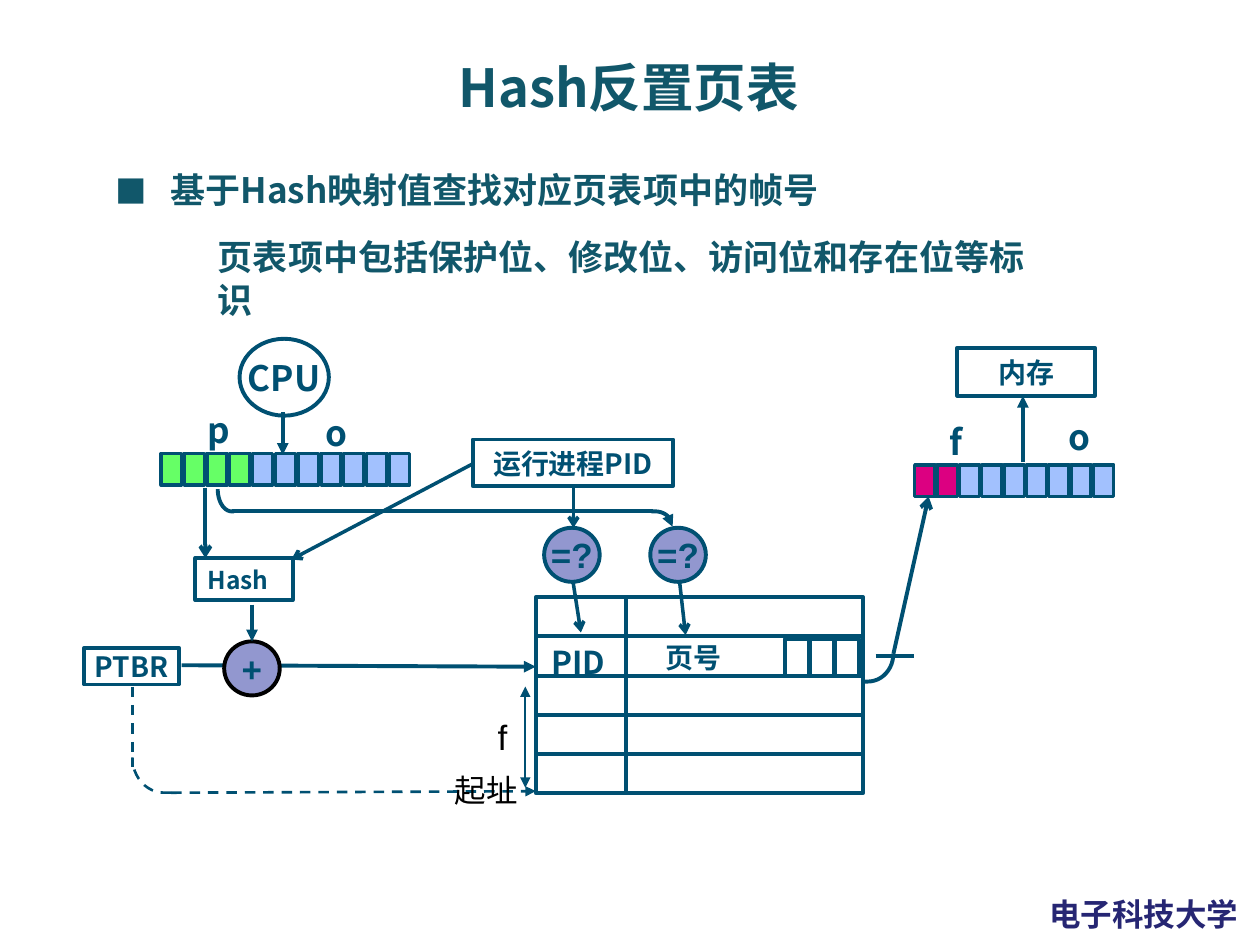
from math import cos, radians, sin

from lxml import etree
from pptx import Presentation
from pptx.dml.color import RGBColor
from pptx.enum.dml import MSO_LINE_DASH_STYLE as DASH
from pptx.enum.shapes import MSO_CONNECTOR, MSO_SHAPE
from pptx.enum.text import MSO_ANCHOR, MSO_AUTO_SIZE, PP_ALIGN
from pptx.oxml.ns import qn
from pptx.util import Cm, Pt

NAVY = RGBColor(0x00, 0x50, 0x72)
TEAL = RGBColor(0x11, 0x57, 0x6A)
INDIGO = RGBColor(0x26, 0x26, 0x73)
BLACK = RGBColor(0x00, 0x00, 0x00)
GREEN = RGBColor(0x66, 0xFF, 0x66)
BLUE = RGBColor(0xA2, 0xC1, 0xFE)
PINK = RGBColor(0xDC, 0x00, 0x81)
VIOLET = RGBColor(0x92, 0x97, 0xCF)

CJK = "Noto Sans CJK SC"
LEADING = 1.23
BOX = MSO_SHAPE.RECTANGLE
OVAL = MSO_SHAPE.OVAL


def sub(parent, tag, **attrs):
    return etree.SubElement(parent, qn(tag), attrs)


def format_run(p, text, size, color=NAVY, font=CJK, bold=True):
    r = p.add_run()
    r.text = text
    for name, value in {"size": Pt(size), "bold": bold, "name": font}.items():
        setattr(r.font, name, value)
    r.font.color.rgb = color
    sub(r.font._element, "a:ea", typeface=CJK)
    if font == CJK:
        p.line_spacing = Pt(round(size * LEADING, 1))


def format_frame(tf, wrap=True, anchor=MSO_ANCHOR.TOP):
    values = {"word_wrap": wrap, "vertical_anchor": anchor, "auto_size": MSO_AUTO_SIZE.NONE}
    for name, value in values.items():
        setattr(tf, name, value)


def place(sp, *box):
    for name, value in zip(("left", "top", "width", "height"), box):
        setattr(sp, name, Cm(value))


def add_title(s, text):
    sp = s.shapes.title
    place(sp, 6.32, 1.02, 12.7, 1.47)
    format_frame(sp.text_frame)
    p = sp.text_frame.paragraphs[0]
    p.alignment = PP_ALIGN.CENTER
    format_run(p, text, 30, TEAL)
    p.line_spacing = Pt(35)


def add_body(s, heading, detail):
    sp = s.placeholders[1]
    place(sp, 2.08, 3.25, 19.53, 3.3)
    tf = sp.text_frame
    format_frame(tf)
    p = tf.paragraphs[0]
    pPr = p._p.get_or_add_pPr()
    pPr.set("marL", str(Cm(1.1)))
    pPr.set("indent", str(Cm(-1.1)))
    sub(pPr, "a:buSzPct", val="90000")
    sub(pPr, "a:buFont", typeface="Noto Sans CJK JP")
    sub(pPr, "a:buChar", char="■")
    p.space_before = Pt(0)
    format_run(p, heading, 20, TEAL)

    p = tf.add_paragraph()
    p.level = 1
    pPr = p._p.get_or_add_pPr()
    pPr.set("marL", str(Cm(2.06)))
    pPr.set("indent", "0")
    sub(pPr, "a:buNone")
    p.space_before = Pt(13.4)
    format_run(p, detail, 20, TEAL)


def add_label(s, text, x, y, w, h, size, wrap=True, **style):
    sp = s.shapes.add_textbox(Cm(x), Cm(y), Cm(w), Cm(h))
    format_frame(sp.text_frame, wrap)
    format_run(sp.text_frame.paragraphs[0], text, size, **style)


def format_line(line, width, color=NAVY, dash=None, head=None, tail=None):
    line.color.rgb = color
    line.width = Pt(width)
    if dash:
        line.dash_style = dash
    ln = line._get_or_add_ln()
    for tag, kind in (("a:headEnd", head), ("a:tailEnd", tail)):
        if kind:
            sub(ln, tag, type=kind)


def add_node(s, kind, x, y, w, h, fill=None, line=NAVY, width=2.25):
    sp = s.shapes.add_shape(kind, Cm(x), Cm(y), Cm(w), Cm(h))
    sp.shadow.inherit = False
    if fill is None:
        sp.fill.background()
    else:
        sp.fill.solid()
        sp.fill.fore_color.rgb = fill
    format_line(sp.line, width, line)
    return sp


def add_text_node(s, kind, text, size, *box, align=PP_ALIGN.CENTER, font=CJK, **style):
    sp = add_node(s, kind, *box, **style)
    format_frame(sp.text_frame, False, MSO_ANCHOR.MIDDLE)
    p = sp.text_frame.paragraphs[0]
    p.alignment = align
    format_run(p, text, size, font=font)


def add_line(s, x1, y1, x2, y2, width=2.25, **style):
    cn = s.shapes.add_connector(MSO_CONNECTOR.STRAIGHT, Cm(x1), Cm(y1), Cm(x2), Cm(y2))
    format_line(cn.line, width, **style)
    sub(cn._element.spPr, "a:effectLst")


def add_corner(s, start_x, cx, cy, rx, ry, begin, end, width=2.25, **style):
    """Draw a quarter ellipse between two angles, led in by a level stroke from start_x."""
    steps = 12
    angles = [radians(begin + (end - begin) * i / steps) for i in range(steps + 1)]
    points = [(Cm(cx + rx * cos(a)), Cm(cy + ry * sin(a))) for a in angles]
    fb = s.shapes.build_freeform(Cm(start_x), points[0][1])
    fb.add_line_segments(points, close=False)
    sp = fb.convert_to_shape()
    sp.shadow.inherit = False
    sp.fill.background()
    format_line(sp.line, width, **style)


def add_address(s, x, y, pitch, count, marked, mark):
    """Draw an address register whose leading cells carry the mark colour."""
    for i in range(count):
        fill = mark if i < marked else BLUE
        add_node(s, BOX, x + i * pitch, y, 0.41, 0.64, fill=fill, width=2)


def add_page_table(s):
    for row in range(5):
        for x, w in ((10.8, 1.82), (12.62, 4.78)):
            add_node(s, BOX, x, 12.04 + row * 0.79, w, 0.79)
    for bit in range(3):
        add_node(s, BOX, 15.82 + bit * 0.51, 12.88, 0.48, 0.76)
    add_label(s, "PID", 10.87, 12.83, 2.41, 1.02, 18)
    add_label(s, "页号", 13.16, 12.78, 2.92, 0.94, 16)
    add_line(s, 10.59, 15.88, 10.59, 13.84, 1, head="triangle", tail="triangle")


def add_memory(s):
    add_text_node(s, BOX, "内存", 16, 19.3, 7.01, 2.77, 0.97)
    add_line(s, 20.62, 9.32, 20.62, 7.98, tail="triangle")
    add_address(s, 18.44, 9.37, 0.45, 9, 2, PINK)
    add_label(s, "f", 18.9, 8.33, 1.3, 1.09, 20)
    add_label(s, "o", 21.29, 8.23, 1.3, 1.09, 20)
    add_corner(s, 17.4, 17.5, 13.18, 0.51, 0.56, 90, 0)
    add_line(s, 18.01, 13.18, 18.72, 10.01, tail="arrow")
    add_line(s, 17.65, 13.23, 18.42, 13.23)


def add_base_register(s):
    add_line(s, 3.66, 13.41, 10.8, 13.44, tail="triangle")
    add_text_node(s, BOX, "PTBR", 16, 1.7, 13.06, 1.91, 0.74)
    add_line(s, 2.67, 13.84, 2.67, 15.47, 1.5, dash=DASH.DASH)
    add_corner(s, 3.45, 3.3, 15.27, 0.63, 0.71, 90, 180, 1.5, dash=DASH.DASH)
    add_line(s, 3.45, 15.98, 10.8, 15.95, 1.5, dash=DASH.DASH, tail="triangle")
    add_text_node(s, OVAL, "+", 20, 4.52, 12.93, 1.12, 1.09, font="Arial", fill=VIOLET, line=BLACK)


def add_lookup(s):
    for x, from_x, to_x, to_y in ((10.97, 11.51, 11.71, 12.75), (13.11, 13.67, 13.82, 12.8)):
        add_line(s, from_x, 11.46, to_x, to_y, 2, tail="arrow")
        add_text_node(s, OVAL, "=?", 20, x, 10.64, 1.12, 1.09, font="Arial", fill=VIOLET)
    add_line(s, 11.56, 9.8, 11.56, 10.64, 2, tail="arrow")
    add_line(s, 9.53, 9.35, 5.87, 11.28, 2, tail="arrow")
    add_text_node(s, BOX, "运行进程PID", 16, 9.53, 8.86, 4.04, 0.94)
    add_line(s, 5.08, 12.19, 5.08, 12.93, tail="triangle")
    add_text_node(s, BOX, "Hash", 14, 3.94, 11.25, 1.96, 0.85, align=PP_ALIGN.LEFT)
    add_line(s, 4.14, 9.83, 4.14, 11.25, tail="arrow")
    add_corner(s, 4.72, 4.67, 9.86, 0.28, 0.45, 90, 180)
    add_line(s, 4.67, 10.31, 13.16, 10.31)
    add_corner(s, 13.13, 13.21, 10.62, 0.35, 0.31, 270, 360, tail="triangle")


def add_cpu(s):
    add_text_node(s, OVAL, "CPU", 20, 4.83, 6.83, 1.8, 1.55)
    add_line(s, 5.7, 8.31, 5.7, 9.17, tail="triangle")
    add_address(s, 3.25, 9.14, 0.46, 11, 4, GREEN)
    add_label(s, "p", 3.94, 8.08, 1.3, 1.09, 20)
    add_label(s, "o", 6.32, 8.15, 1.3, 1.09, 20)


def main():
    prs = Presentation()
    prs.slide_width, prs.slide_height = Cm(25.4), Cm(19.05)
    s = prs.slides.add_slide(prs.slide_layouts[1])
    add_label(s, "电子科技大学", 20.9, 17.91, 4.39, 1.02, 18, False, color=INDIGO, font="Arial")
    add_title(s, "Hash反置页表")
    add_body(s, "基于Hash映射值查找对应页表项中的帧号",
             "页表项中包括保护位、修改位、访问位和存在位等标识")
    add_memory(s)
    add_base_register(s)
    add_lookup(s)
    add_page_table(s)
    add_cpu(s)
    plain = {"color": BLACK, "font": "Arial", "bold": False}
    add_label(s, "f", 9.78, 14.3, 0.86, 1.12, 20, **plain)
    add_label(s, "起址", 8.92, 15.42, 2.16, 1.02, 18, **plain)
    prs.save("out.pptx")


if __name__ == "__main__":
    main()
